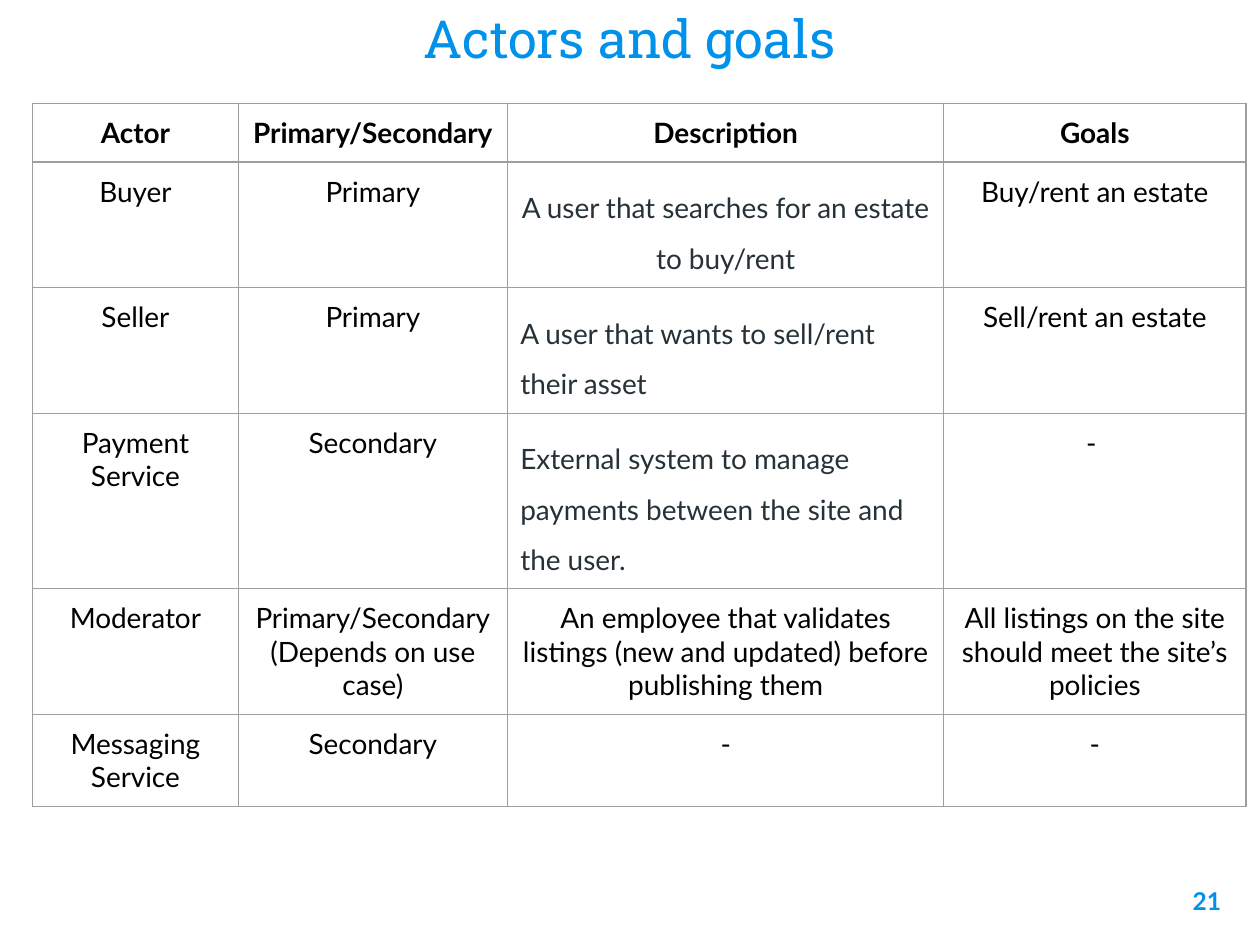
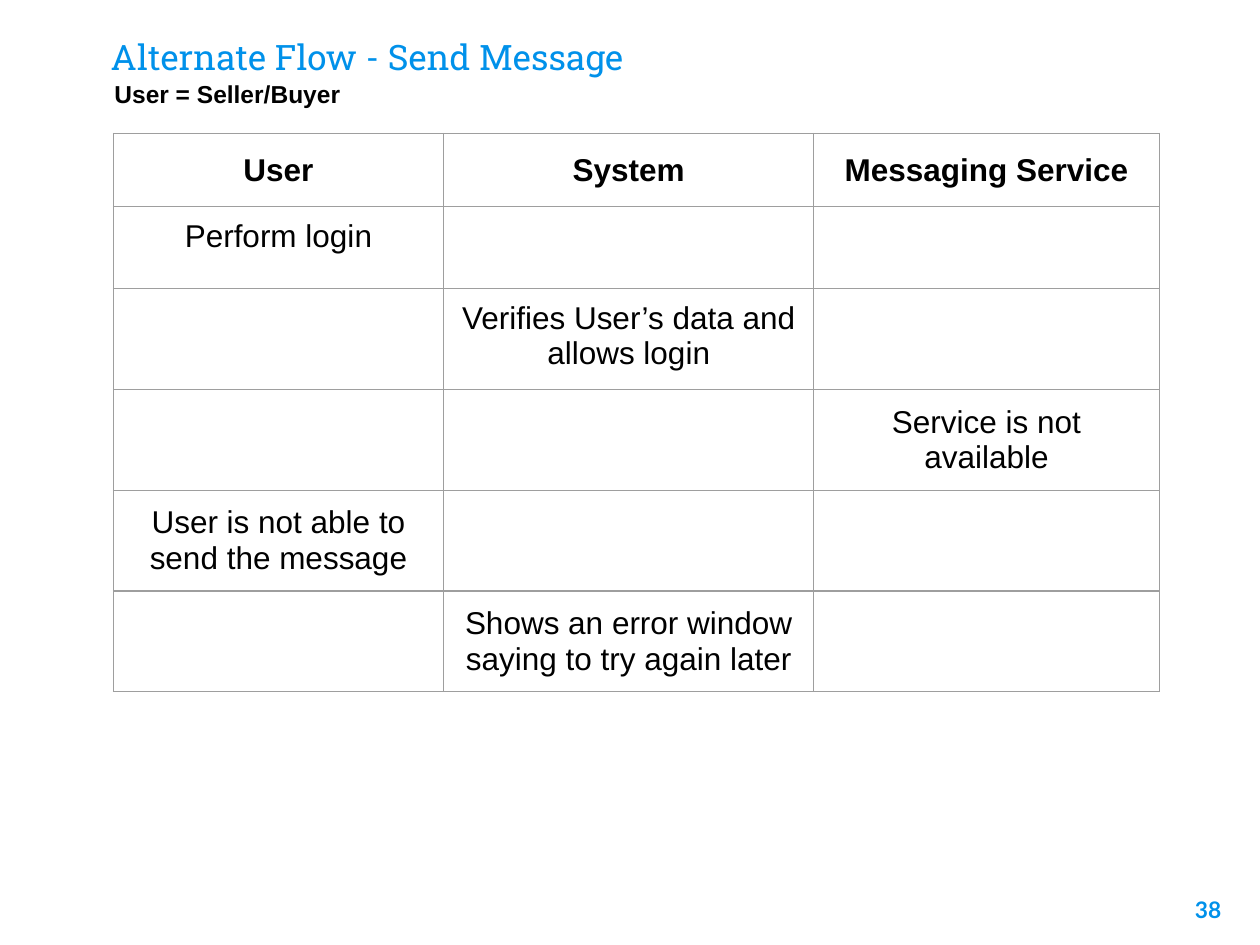
"""Build two use-case slides: the actors table and an alternate message flow."""

from dataclasses import dataclass

from lxml import etree
from pptx import Presentation
from pptx import util as u
from pptx.dml import color
from pptx.enum import text
from pptx.oxml import ns

COLORS = {"accent": "0091EA", "ink": "000000", "slate": "263238", "grid": "9E9E9E"}
INSET = u.Pt(7.2)
GRID_WIDTH = u.Pt(0.75)
LEFT, CENTER, RIGHT = text.PP_ALIGN.LEFT, text.PP_ALIGN.CENTER, text.PP_ALIGN.RIGHT
TOP, MIDDLE, BOTTOM = (
    text.MSO_ANCHOR.TOP,
    text.MSO_ANCHOR.MIDDLE,
    text.MSO_ANCHOR.BOTTOM,
)


@dataclass(frozen=True)
class Style:
    font: str
    size: float
    color: str = "ink"
    bold: bool = False
    align: text.PP_ALIGN = CENTER
    line_spacing: float | None = None
    space_before: float | None = None


@dataclass(frozen=True)
class Label:
    words: str
    box: tuple[float, float, float, float]
    style: Style
    anchor: text.MSO_ANCHOR = TOP


@dataclass(frozen=True)
class Entry:
    words: str
    style: Style
    anchor: text.MSO_ANCHOR = TOP


@dataclass(frozen=True)
class Grid:
    left: float
    top: float
    columns: list[float]
    rows: list[float]
    entries: list[list[Entry | None]]


def title_style(size: float, align: text.PP_ALIGN) -> Style:
    return Style("Roboto Slab", size, "accent", align=align)


def page_number(number: int, size: float, anchor: text.MSO_ANCHOR) -> Label:
    style = Style("Lato", size, "accent", bold=True, align=RIGHT)
    return Label(str(number), (661.68, 498.96, 43.2, 41.04), style, anchor)


def write(frame, words: str, style: Style) -> None:
    for index, line in enumerate(words.split("\n")):
        paragraph = frame.add_paragraph() if index else frame.paragraphs[0]
        paragraph.alignment = style.align
        if style.line_spacing is not None:
            paragraph.line_spacing = style.line_spacing
        if style.space_before is not None:
            paragraph.space_before = u.Pt(style.space_before)
        run = paragraph.add_run()
        run.text = line
        run.font.name = style.font
        run.font.size = u.Pt(style.size)
        run.font.bold = style.bold
        run.font.color.rgb = color.RGBColor.from_string(COLORS[style.color])


def set_insets(target) -> None:
    target.margin_left = target.margin_right = INSET
    target.margin_top = target.margin_bottom = INSET


def add_label(slide, label: Label) -> None:
    shape = slide.shapes.add_textbox(*(u.Pt(length) for length in label.box))
    frame = shape.text_frame
    frame.word_wrap = True
    frame.vertical_anchor = label.anchor
    set_insets(frame)
    write(frame, label.words, label.style)


def add_borders(cell) -> None:
    properties = cell._tc.get_or_add_tcPr()
    for index, side in enumerate(("a:lnL", "a:lnR", "a:lnT", "a:lnB")):
        line = etree.Element(ns.qn(side), w=str(GRID_WIDTH))
        fill = etree.SubElement(line, ns.qn("a:solidFill"))
        etree.SubElement(fill, ns.qn("a:srgbClr"), val=COLORS["grid"])
        properties.insert(index, line)


def add_grid(slide, grid: Grid) -> None:
    table = slide.shapes.add_table(
        len(grid.rows),
        len(grid.columns),
        u.Pt(grid.left),
        u.Pt(grid.top),
        u.Pt(sum(grid.columns)),
        u.Pt(sum(grid.rows)),
    ).table
    table.first_row = table.horz_banding = False
    for column, width in zip(table.columns, grid.columns):
        column.width = u.Pt(width)
    for row, height, entries in zip(table.rows, grid.rows, grid.entries):
        row.height = u.Pt(height)
        for cell, entry in zip(row.cells, entries):
            cell.fill.background()
            set_insets(cell)
            add_borders(cell)
            if entry:
                cell.vertical_anchor = entry.anchor
                write(cell.text_frame, entry.words, entry.style)


def actors_grid() -> Grid:
    header = Style("Lato", 16, bold=True)
    body = Style("Lato", 16)
    centered = Style("Lato", 16, "slate", line_spacing=1.5, space_before=6)
    loose = Style("Lato", 16, "slate", align=LEFT, line_spacing=1.5)
    actors = [
        ("Buyer", "Primary", "A user that searches for an estate to buy/rent",
         "Buy/rent an estate", centered),
        ("Seller", "Primary", "A user that wants to sell/rent their asset",
         "Sell/rent an estate", loose),
        ("Payment Service", "Secondary",
         "External system to manage payments between the site and the user.",
         "- ", loose),
        ("Moderator", "Primary/Secondary\n(Depends on use case)",
         "An employee that validates listings (new and updated) before publishing them",
         "All listings on the site should meet the site’s policies", body),
        ("Messaging Service", "Secondary", "-", "-", body),
    ]
    headings = ("Actor", "Primary/Secondary", "Description", "Goals")
    entries = [[Entry(heading, header) for heading in headings]]
    for actor, role, description, goals, description_style in actors:
        entries.append([
            Entry(actor, body),
            Entry(role, body),
            Entry(description, description_style),
            Entry(goals, body),
        ])
    return Grid(
        18.72, 59.04,
        [117.36, 154.08, 249.12, 172.8],
        [30.24, 30.24, 60.48, 61.92, 30.24, 41.76],
        entries,
    )


def flow_grid() -> Grid:
    header = Style("Arial", 18, bold=True)
    body = Style("Arial", 18)
    headings = ("User", "System", "Messaging Service")
    steps = [
        (0, "Perform login", TOP),
        (1, "Verifies User’s data and allows login", TOP),
        (2, "Service is not available", MIDDLE),
        (0, "User is not able to send the message", MIDDLE),
        (1, "Shows an error window saying to try again later", MIDDLE),
    ]
    entries = [[Entry(heading, header, MIDDLE) for heading in headings]]
    for lane, words, anchor in steps:
        step = Entry(words, body, anchor)
        entries.append([step if lane == index else None for index in range(len(headings))])
    return Grid(
        64.8, 76.32,
        [188.64, 211.68, 197.28],
        [41.76, *[46.8] * 4, 51.84],
        entries,
    )


def add_slide(presentation, grid: Grid, labels: list[Label]) -> None:
    slide = presentation.slides.add_slide(presentation.slide_layouts[6])
    add_grid(slide, grid)
    for label in labels:
        add_label(slide, label)


def main() -> None:
    presentation = Presentation()
    presentation.slide_width = u.Pt(720)
    presentation.slide_height = u.Pt(540)
    add_slide(presentation, actors_grid(), [
        page_number(21, 14, TOP),
        Label("Actors and goals", (61.92, -26.64, 596.16, 73.44),
              title_style(30, CENTER), BOTTOM),
    ])
    add_slide(presentation, flow_grid(), [
        page_number(38, 13, MIDDLE),
        Label("Alternate Flow - Send Message", (56.16, 13.68, 596.16, 36.72),
              title_style(20, LEFT), MIDDLE),
        Label("User = Seller/Buyer", (58.32, 38.16, 388.8, 28.8),
              Style("Arial", 14, bold=True, align=LEFT)),
    ])
    presentation.save("out.pptx")


if __name__ == "__main__":
    main()
